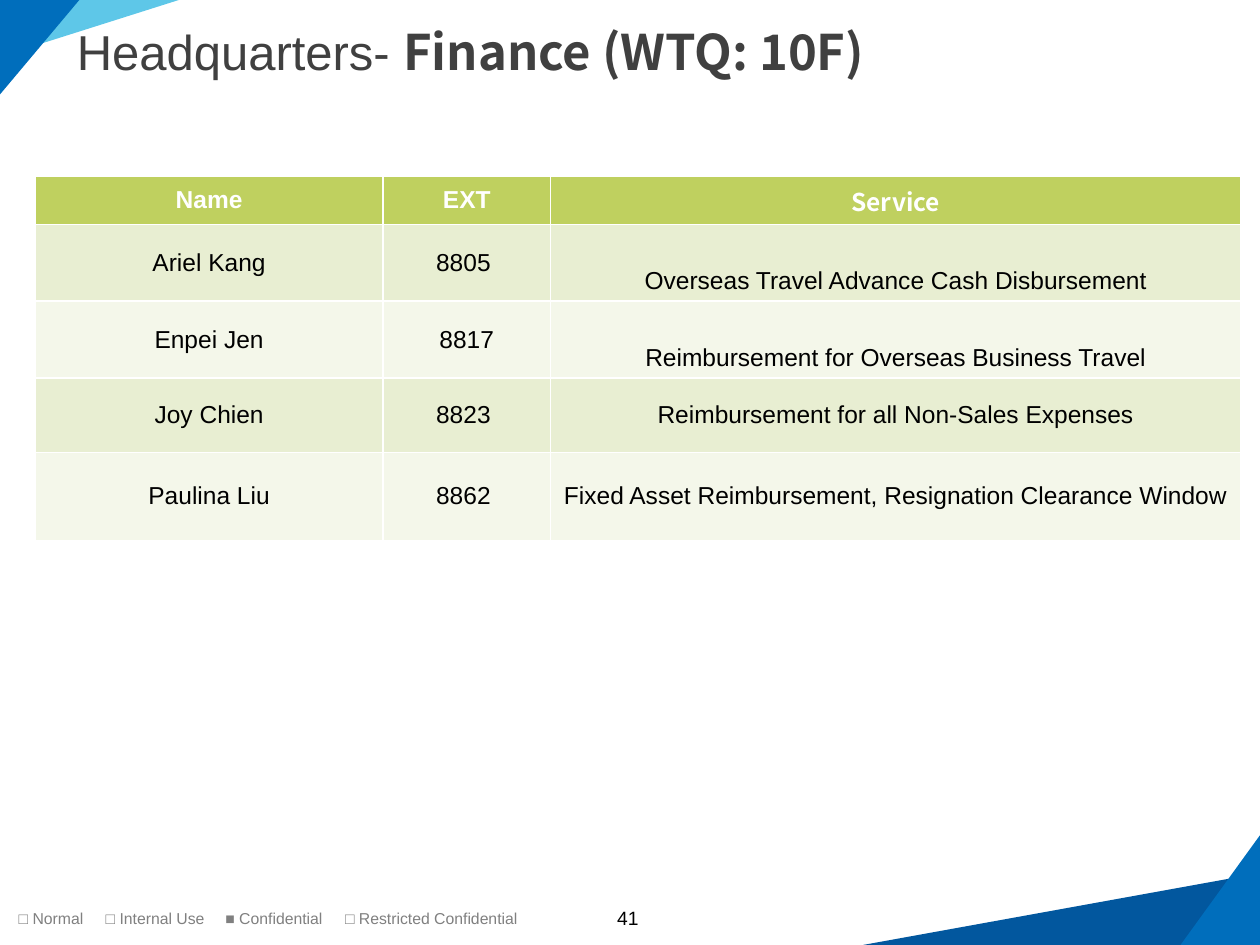
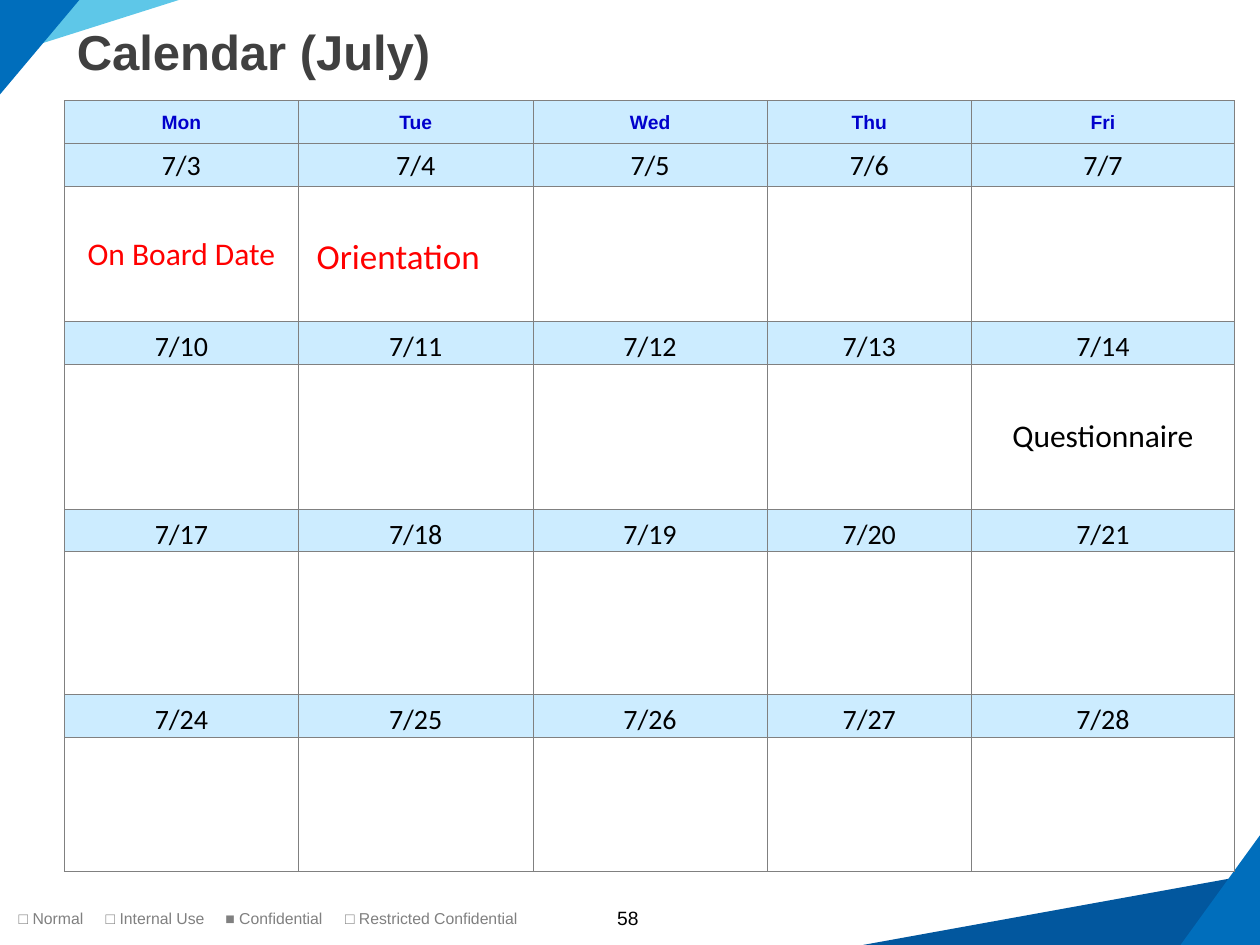
from dataclasses import dataclass

from lxml.etree import SubElement
from pptx import Presentation
from pptx.dml.color import RGBColor
from pptx.enum.shapes import MSO_SHAPE as Shape
from pptx.enum.text import MSO_ANCHOR as Anchor, MSO_AUTO_SIZE as AutoSize, PP_ALIGN as Align
from pptx.oxml.ns import qn
from pptx.util import Inches, Pt


@dataclass(frozen=True)
class Theme:
    body_font: str = "Arial"
    date_font: str = "Calibri"
    accent_font: str = "Noto Sans CJK SC"
    title_size: int = 28
    staff_size: int = 14
    weekday_size: int = 11
    date_size: int = 16
    event_size: int = 18
    big_event_size: int = 20
    page_size: int = 11
    footer_size: int = 9
    black: str = "000000"
    white: str = "FFFFFF"
    title: str = "404040"
    gray: str = "808080"
    sky: str = "5EC7E8"
    blue: str = "006EBC"
    navy: str = "02579E"
    header_green: str = "BFD05F"
    bands: tuple = ("E8EED2", "F4F7EA")
    date_band: str = "CCECFF"
    weekday: str = "0000CC"
    red: str = "FF0000"


THEME = Theme()
CLASSIFICATIONS = ["□ Normal", "□ Internal Use", "■ Confidential", "□ Restricted Confidential"]
CLASSIFICATION_TABS = [0.69, 1.64, 2.59]
# left, top, width, height, colour, mirrored axis
CORNERS = [
    (0, 0, 1.42, 0.45, THEME.sky, "flipV"),
    (0, 0, 0.63, 0.75, THEME.blue, "flipV"),
    (6.85, 6.93, 3.15, 0.57, THEME.navy, "flipH"),
    (9.37, 6.63, 0.63, 0.87, THEME.blue, "flipH"),
]


def set_all(target, values):
    for name, value in values.items():
        setattr(target, name, value)


def margins(left, top, right, bottom):
    sides = {"left": left, "top": top, "right": right, "bottom": bottom}
    return {f"margin_{side}": Inches(size) for side, size in sides.items()}


class Deck:
    def __init__(self, theme):
        self.theme = theme
        self.prs = Presentation()
        self.prs.slide_width, self.prs.slide_height = Inches(10), Inches(7.5)
        self.slide = None

    def new_slide(self, page, *title_runs):
        """Start a slide with its title, corner triangles and footer."""
        self.slide = self.prs.slides.add_slide(self.prs.slide_layouts[5])
        self.title(title_runs)
        for corner in CORNERS:
            self.corner(*corner)
        self.text(4.56, 7.19, 0.89, 0.24, f"{page} ", self.theme.page_size, self.theme.black,
                  margins(0.1, 0, 0.1, 0), Align.CENTER)
        self.text(0.05, 7.16, 4.51, 0.25, "\t".join(CLASSIFICATIONS), self.theme.footer_size,
                  self.theme.gray, margins(0.1, 0.05, 0.1, 0.05), tabs=CLASSIFICATION_TABS)

    def run(self, paragraph, text, size, color, font=None, bold=False):
        run = paragraph.add_run()
        run.text = text
        set_all(run.font, {"name": font or self.theme.body_font, "size": Pt(size), "bold": bold})
        run.font.color.rgb = RGBColor.from_string(color)

    def title(self, runs):
        title = self.slide.shapes.title
        set_all(title, {"left": Inches(0.51), "top": Inches(0.2),
                        "width": Inches(8.98), "height": Inches(0.47)})
        set_all(title.text_frame, {"word_wrap": True, "auto_size": AutoSize.NONE,
                                   "vertical_anchor": Anchor.MIDDLE,
                                   **margins(0.1, 0.05, 0.1, 0.05)})
        heading = title.text_frame.paragraphs[0]
        set_all(heading, {"alignment": Align.LEFT, "line_spacing": 0.9})
        for text, font, bold in runs:
            self.run(heading, text, self.theme.title_size, self.theme.title, font, bold)

    def corner(self, left, top, width, height, color, flip):
        triangle = self.slide.shapes.add_shape(
            Shape.RIGHT_TRIANGLE, Inches(left), Inches(top), Inches(width), Inches(height))
        triangle.shadow.inherit = False
        triangle.fill.solid()
        triangle.fill.fore_color.rgb = RGBColor.from_string(color)
        triangle.line.fill.background()
        triangle._element.spPr.find(qn("a:xfrm")).set(flip, "1")

    def text(self, left, top, width, height, text, size, color, insets,
             align=Align.LEFT, tabs=()):
        box = self.slide.shapes.add_textbox(
            Inches(left), Inches(top), Inches(width), Inches(height))
        set_all(box.text_frame, {"word_wrap": True, **insets})
        line = box.text_frame.paragraphs[0]
        line.alignment = align
        if tabs:
            stops = SubElement(line._p.get_or_add_pPr(), qn("a:tabLst"))
            for tab in tabs:
                SubElement(stops, qn("a:tab"), pos=str(Inches(tab)), algn="l")
        self.run(line, text, size, color)

    def table(self, left, top, widths, heights):
        table = self.slide.shapes.add_table(
            len(heights), len(widths), Inches(left), Inches(top),
            Inches(sum(widths)), Inches(sum(heights))).table
        for column, width in zip(table.columns, widths):
            column.width = Inches(width)
        for row, height in zip(table.rows, heights):
            row.height = Inches(height)
        return table

    def cell(self, cell, border, fill=None, insets=None, anchor=Anchor.MIDDLE, **text_style):
        """Format one cell; border is (colour, points), text_style goes to run()."""
        color, points = border
        properties = cell._tc.get_or_add_tcPr()
        for side in ("lnL", "lnR", "lnT", "lnB"):
            line = SubElement(properties, qn(f"a:{side}"), w=str(Pt(points)))
            SubElement(SubElement(line, qn("a:solidFill")), qn("a:srgbClr"), val=color)
        if fill:
            cell.fill.solid()
            cell.fill.fore_color.rgb = RGBColor.from_string(fill)
        else:
            cell.fill.background()
        set_all(cell, {"vertical_anchor": anchor, **(insets or {})})
        if text_style:
            paragraph = cell.text_frame.paragraphs[0]
            paragraph.alignment = Align.CENTER
            self.run(paragraph, **text_style)


def finance_slide(deck):
    theme = deck.theme
    deck.new_slide(41, ("Headquarters- ", theme.body_font, False),
                   ("Finance (WTQ: 10F)", theme.accent_font, True))
    headings = ["Name", "EXT", "Service"]
    staff = [
        ("Ariel Kang", "8805 ", "Overseas Travel Advance Cash Disbursement"),
        ("Enpei Jen", "8817", "Reimbursement for Overseas Business Travel"),
        ("Joy Chien", "8823 ", "Reimbursement for all Non-Sales Expenses"),
        ("Paulina Liu", "8862 ", "Fixed Asset Reimbursement, Resignation Clearance Window"),
    ]
    low_services = {staff[0][2], staff[1][2]}
    directory = deck.table(0.28, 1.4, [2.76, 1.33, 5.48], [0.38, 0.61, 0.61, 0.59, 0.7])
    border = (theme.white, 1)
    for column, heading in enumerate(headings):
        font = theme.accent_font if heading == "Service" else theme.body_font
        deck.cell(directory.cell(0, column), border, theme.header_green, text=heading,
                  size=theme.staff_size, color=theme.white, font=font, bold=True)
    for row, person in enumerate(staff):
        for column, value in enumerate(person):
            anchor = Anchor.BOTTOM if value in low_services else Anchor.MIDDLE
            deck.cell(directory.cell(row + 1, column), border, theme.bands[row % 2],
                      anchor=anchor, text=value, size=theme.staff_size, color=theme.black)


def calendar_slide(deck):
    theme = deck.theme
    deck.new_slide(58, ("Calendar (July)", theme.body_font, True))
    weekdays = ["Mon", "Tue", "Wed", "Thu", "Fri"]
    mondays = range(3, 25, 7)
    event_heights = [1.07, 1.15, 1.13, 1.07]
    events = {
        3: ("On Board Date", theme.event_size, theme.red),
        4: ("Orientation　", theme.big_event_size, theme.red),
        14: ("Questionnaire", theme.event_size, theme.black),
    }
    heights = [0.34]
    for event_height in event_heights:
        heights += [0.34, event_height]
    calendar = deck.table(0.51, 0.8, [1.86, 1.86, 1.86, 1.62, 2.09], heights)
    frame = {"border": (theme.gray, 0.5), "insets": margins(0.01, 0.01, 0.01, 0)}
    for column, weekday in enumerate(weekdays):
        deck.cell(calendar.cell(0, column), fill=theme.date_band, text=weekday,
                  size=theme.weekday_size, color=theme.weekday, bold=True, **frame)
        for week, monday in enumerate(mondays):
            day, date_row = monday + column, 1 + 2 * week
            deck.cell(calendar.cell(date_row, column), fill=theme.date_band,
                      anchor=Anchor.BOTTOM if week else Anchor.MIDDLE, text=f"7/{day}",
                      size=theme.date_size, color=theme.black, font=theme.date_font, **frame)
            event = {}
            if day in events:
                text, size, color = events[day]
                event = {"text": text, "size": size, "color": color, "font": theme.date_font}
            deck.cell(calendar.cell(date_row + 1, column), **frame, **event)


def main():
    deck = Deck(THEME)
    finance_slide(deck)
    calendar_slide(deck)
    deck.prs.save("out.pptx")


if __name__ == "__main__":
    main()
